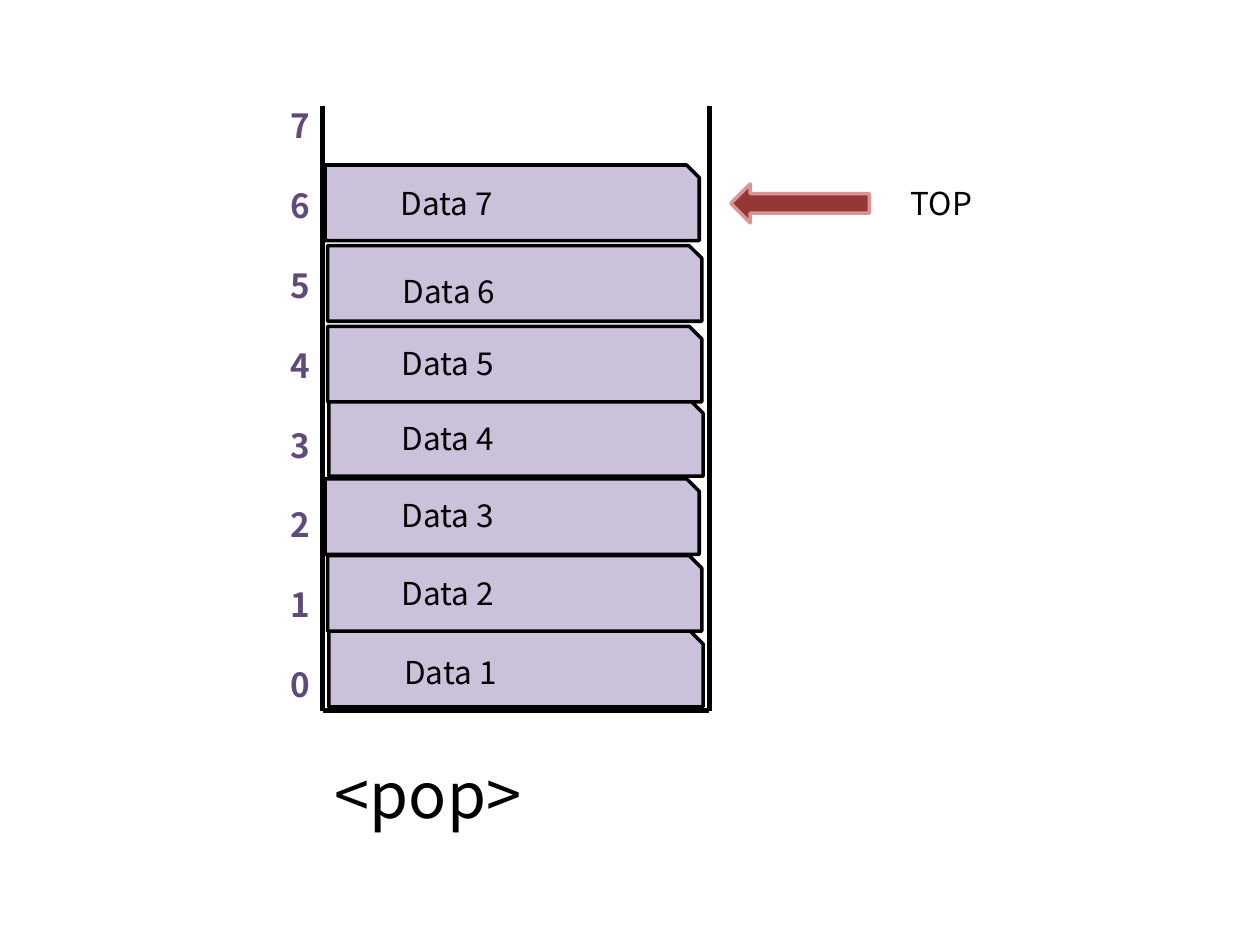
from dataclasses import dataclass

from lxml import etree
from pptx import Presentation
from pptx.dml.color import RGBColor
from pptx.enum import shapes
from pptx.oxml import ns
from pptx.util import Inches, Pt


@dataclass(frozen=True)
class Theme:
    font: str = "Noto Sans CJK KR"
    ink: str = "000000"
    block: str = "CCC1DA"
    index: str = "604A7B"
    arrow: str = "953735"
    arrow_edge: str = "D99694"
    body: int = 18
    index_size: int = 19
    caption: int = 36
    wall: int = 3
    edge: int = 2


THEME = Theme()

# Each block: label, block left and top, label left and top
BLOCKS = [
    ("Data 1", 2.61, 5.01, 3.11, 5.13),
    ("Data 2", 2.60, 4.41, 3.09, 4.51),
    ("Data 3", 2.58, 3.80, 3.09, 3.89),
    ("Data 4", 2.61, 3.18, 3.09, 3.28),
    ("Data 5", 2.60, 2.59, 3.09, 2.68),
    ("Data 6", 2.60, 1.95, 3.10, 2.11),
    ("Data 7", 2.58, 1.31, 3.08, 1.41),
]


def add_line(s, x1, y1, x2, y2):
    line = s.shapes.add_connector(
        shapes.MSO_CONNECTOR.STRAIGHT, Inches(x1), Inches(y1), Inches(x2), Inches(y2))
    line.line.color.rgb = RGBColor.from_string(THEME.ink)
    line.line.width = Pt(THEME.wall)
    etree.SubElement(line._element.spPr, ns.qn("a:effectLst"))


def add_preset(s, kind, box, fill, edge):
    sp = s.shapes.add_shape(kind, *map(Inches, box))
    sp.shadow.inherit = False
    sp.fill.solid()
    sp.fill.fore_color.rgb = RGBColor.from_string(fill)
    sp.line.color.rgb = RGBColor.from_string(edge)
    sp.line.width = Pt(THEME.edge)


def add_text(s, box, text, size, color=THEME.ink, bold=False):
    tf = s.shapes.add_textbox(*map(Inches, box)).text_frame
    tf.word_wrap = True
    tf.text = text
    for p in tf.paragraphs:
        for r in p.runs:
            r.font.name = THEME.font
            r.font.size = Pt(size)
            r.font.bold = bold
            r.font.color.rgb = RGBColor.from_string(color)
            fonts = r._r.get_or_add_rPr()
            etree.SubElement(fonts, ns.qn("a:ea")).set("typeface", THEME.font)
    return tf


def add_container(s, left, top, width, height):
    right, bottom = left + width, top + height
    for x in (left, right):
        add_line(s, x, top, x, bottom)
    add_line(s, left, bottom, right, bottom)


def add_blocks(s, width, height):
    for _, left, top, _, _ in BLOCKS:
        add_preset(s, shapes.MSO_SHAPE.SNIP_1_RECTANGLE, (left, top, width, height),
                   THEME.block, THEME.ink)
    for label, _, _, left, top in BLOCKS:
        add_text(s, (left, top, 1.97, 0.4), label, THEME.body)


def add_index(s, left, top, width, height):
    numbers = "\n".join(str(n) for n in range(7, -1, -1))
    tf = add_text(s, (left, top, width, height), numbers,
                  THEME.index_size, THEME.index, bold=True)
    # One blank line's height between neighbouring numbers
    step = Pt(THEME.index_size * 1.2)
    for p in tf.paragraphs:
        p.line_spacing = step
    for p in tf.paragraphs[:-1]:
        p.space_after = step


def add_pointer(s, left, top):
    add_preset(s, shapes.MSO_SHAPE.LEFT_ARROW, (left, top + 0.05, 1.1, 0.31),
               THEME.arrow, THEME.arrow_edge)
    add_text(s, (left + 1.33, top, 1.65, 0.4), "TOP", THEME.body)


def main():
    prs = Presentation()
    prs.slide_width, prs.slide_height = Inches(10), Inches(7.5)
    s = prs.slides.add_slide(prs.slide_layouts[6])

    # Stack
    add_container(s, 2.56, 0.84, 3.07, 4.8)
    add_blocks(s, 2.97, 0.6)
    add_index(s, 2.21, 0.79, 0.31, 4.9)

    # Pointer to the top element
    add_pointer(s, 5.8, 1.41)

    # Caption
    add_text(s, (2.56, 5.95, 2.99, 0.71), "<pop>", THEME.caption)

    prs.save("out.pptx")


if __name__ == "__main__":
    main()
